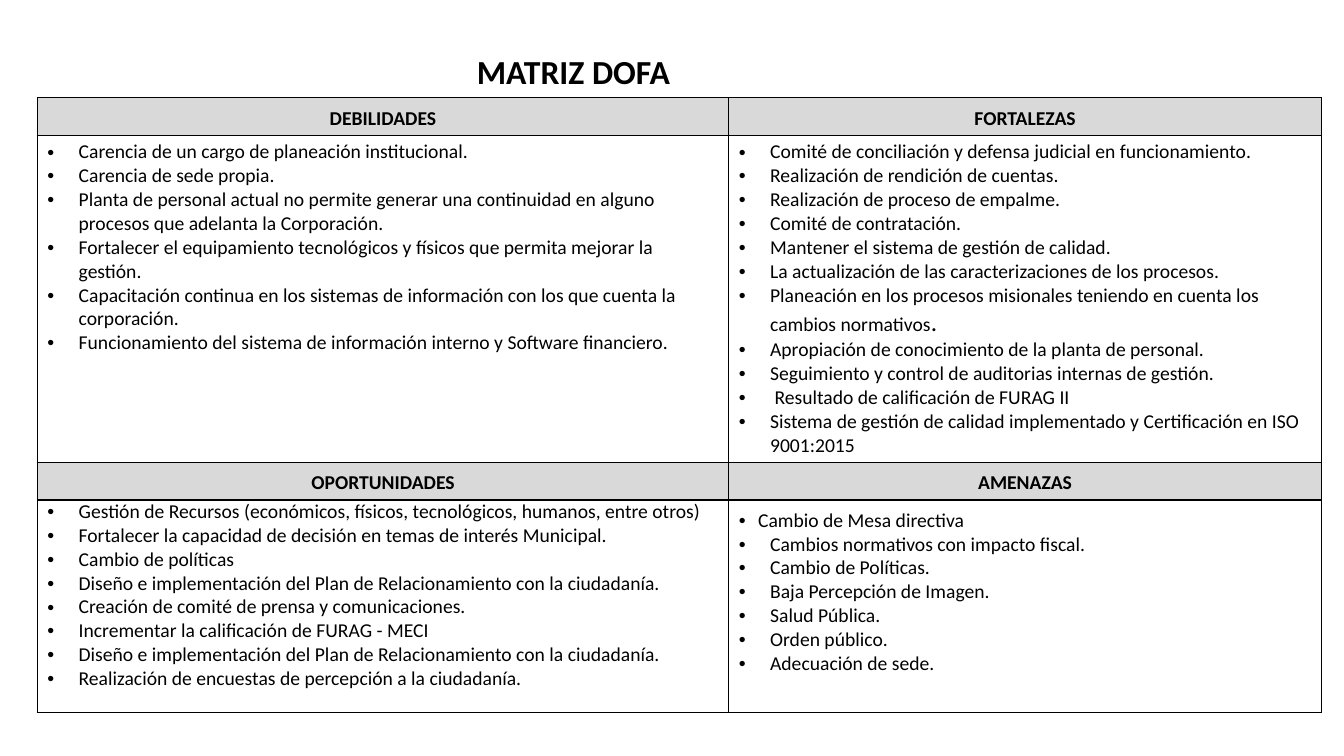
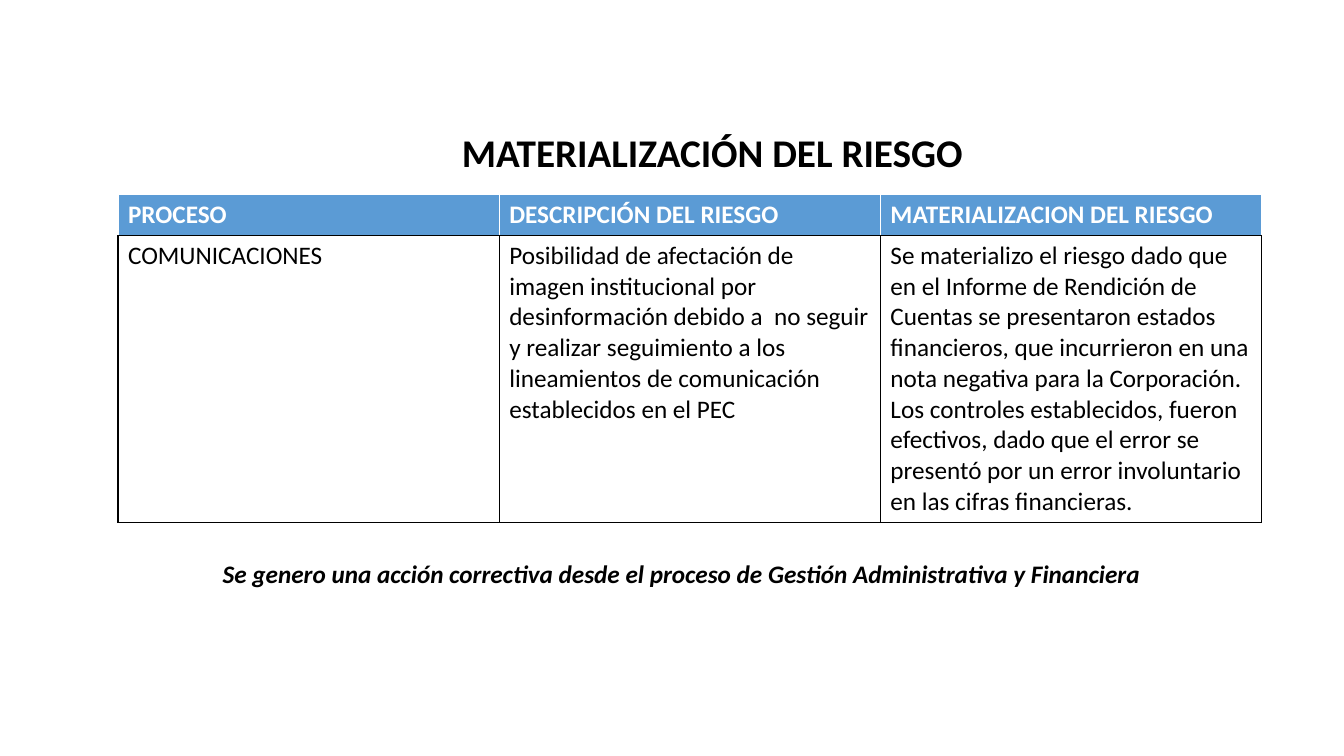
import pptx
import pptx.util
import pptx.dml.color
import pptx.enum.text
import pptx.oxml
import pptx.oxml.ns
import lxml.etree

Pt = pptx.util.Pt
Inches = pptx.util.Inches
ALIGN = pptx.enum.text.PP_ALIGN
WIDE, HIGH = Inches(40 / 3), Inches(7.5)
FONT = "Calibri"
HUES = {"ink": "000000", "paper": "FFFFFF", "band": "D9D9D9", "head": "5B9BD5"}

WEAK = [
    "Carencia de un cargo de planeación institucional.",
    "Carencia de sede propia.",
    "Planta de personal actual no permite generar una continuidad en alguno procesos que adelanta la Corporación.",
    "Fortalecer el equipamiento tecnológicos y físicos que permita mejorar la gestión.",
    "Capacitación continua en los sistemas de información con los que cuenta la corporación.",
    "Funcionamiento del sistema de información interno y Software financiero.",
]
STRONG = [
    "Comité de conciliación y defensa judicial en funcionamiento.",
    "Realización de rendición de cuentas.",
    "Realización de proceso de empalme.",
    "Comité de contratación.",
    "Mantener el sistema de gestión de calidad.",
    "La actualización de las caracterizaciones de los procesos.",
    "Planeación en los procesos misionales teniendo en cuenta los cambios normativos",
    "Apropiación de conocimiento de la planta de personal.",
    "Seguimiento y control de auditorias internas de gestión.",
    " Resultado de calificación de FURAG II",
    "Sistema de gestión de calidad implementado y Certificación en ISO 9001:2015",
]
CHANCE = [
    "Gestión de Recursos (económicos, físicos, tecnológicos, humanos, entre otros)",
    "Fortalecer la capacidad de decisión en temas de interés Municipal.",
    "Cambio de políticas",
    "Diseño e implementación del Plan de Relacionamiento con la ciudadanía.",
    "Creación de comité de prensa y comunicaciones.",
    "Incrementar la calificación de FURAG - MECI",
    "Diseño e implementación del Plan de Relacionamiento con la ciudadanía.",
    "Realización de encuestas de percepción a la ciudadanía.",
]
THREAT = [
    "Cambio de Mesa directiva",
    "Cambios normativos con impacto fiscal.",
    "Cambio de Políticas.",
    "Baja Percepción de Imagen.",
    "Salud Pública.",
    "Orden público.",
    "Adecuación de sede.",
]
RISK = [
    ["PROCESO", "DESCRIPCIÓN DEL RIESGO", "MATERIALIZACION DEL RIESGO"],
    [
        "COMUNICACIONES",
        "Posibilidad de afectación de imagen institucional por desinformación debido a  no seguir y realizar seguimiento a los lineamientos de comunicación establecidos en el PEC",
        "Se materializo el riesgo dado que en el Informe de Rendición de Cuentas se presentaron estados financieros, que incurrieron en una nota negativa para la Corporación. Los controles establecidos, fueron efectivos, dado que el error se presentó por un error involuntario en las cifras financieras.",
    ],
]
NOTE = "Se genero una acción correctiva desde el proceso de Gestión Administrativa y Financiera"


def rgb(hue):
    return pptx.dml.color.RGBColor.from_string(HUES[hue])


def area(left, top, wide, high):
    return [
        round(share * side / 100)
        for share, side in zip((left, top, wide, high), (WIDE, HIGH, WIDE, HIGH))
    ]


def style(para, size, bold=False, hue="ink", italic=False):
    font = para.font
    font.name, font.size = FONT, Pt(size)
    font.bold, font.italic = bold, italic
    font.color.rgb = rgb(hue)


def bullet(para, indent):
    props = para._p.get_or_add_pPr()
    props.set("marL", str(Inches(indent)))
    props.set("indent", str(-Inches(indent)))
    for tag, key, value in (("buFont", "typeface", "Arial"), ("buChar", "char", "•")):
        mark = lxml.etree.SubElement(props, pptx.oxml.ns.qn("a:" + tag))
        mark.set(key, value)


def title(slide, text, box, size, align):
    shape = slide.shapes.title
    shape.left, shape.top, shape.width, shape.height = area(*box)
    frame = shape.text_frame
    frame.text = text
    frame.auto_size = pptx.enum.text.MSO_AUTO_SIZE.NONE
    frame.vertical_anchor = pptx.enum.text.MSO_ANCHOR.TOP
    para = frame.paragraphs[0]
    para.alignment = align
    style(para, size, True)


def caption(slide, text, box):
    frame = slide.shapes.add_textbox(*area(*box)).text_frame
    frame.word_wrap = True
    frame.text = text
    style(frame.paragraphs[0], 18, True, italic=True)


def edge(cell, hues):
    props = cell._tc.get_or_add_tcPr()
    space = pptx.oxml.ns.nsdecls("a")
    for side, hue in zip("LRTB", hues):
        props.append(pptx.oxml.parse_xml(
            f'<a:ln{side} {space} w="{Pt(1)}"><a:solidFill>'
            f'<a:srgbClr val="{HUES[hue]}"/></a:solidFill></a:ln{side}>'
        ))


def paint(cell, fill, hues=("ink",) * 4):
    edge(cell, hues)
    cell.fill.solid()
    cell.fill.fore_color.rgb = rgb(fill)


def grid(slide, box, cols, rows):
    left, top, wide, high = area(*box)
    table = slide.shapes.add_table(len(rows), len(cols), left, top, wide, high).table
    table.first_row = table.horz_banding = False
    for col, part in zip(table.columns, cols):
        col.width = round(wide * part / sum(cols))
    for row, part in zip(table.rows, rows):
        row.height = round(high * part / sum(rows))
    return table


def heading(cell, text):
    paint(cell, "band")
    cell.text = text
    para = cell.text_frame.paragraphs[0]
    para.alignment = ALIGN.CENTER
    para.line_spacing = 1.15
    style(para, 14, True)


def listing(cell, items):
    paint(cell, "paper")
    cell.text = "\n".join(items)
    for para in cell.text_frame.paragraphs:
        bullet(para, 0.31)
        style(para, 14)


def matrix(slide, box):
    table = grid(slide, box, [7, 6], [6, 53, 6, 34.5])
    parts = [
        ("DEBILIDADES", WEAK), ("FORTALEZAS", STRONG),
        ("OPORTUNIDADES", CHANCE), ("AMENAZAS", THREAT),
    ]
    for spot, (name, items) in enumerate(parts):
        row, col = spot // 2 * 2, spot % 2
        heading(table.cell(row, col), name)
        listing(table.cell(row + 1, col), items)

    stop = table.cell(1, 1).text_frame.paragraphs[6].add_run()
    stop.text = "."
    stop.font.size = Pt(18)

    chance = table.cell(3, 0)
    chance.margin_top = chance.margin_bottom = 0

    first = table.cell(3, 1).text_frame.paragraphs[0]
    first.alignment = ALIGN.JUSTIFY
    first.line_spacing = 1.15
    props = first._p.get_or_add_pPr()
    props.set("marL", str(Inches(0.19)))
    props.set("indent", str(-Inches(0.19)))


def risks(slide, box):
    table = grid(slide, box, [1, 1, 1], [1, 7])
    looks = [
        ("head", ("paper", "paper", "paper", "ink"), True, "paper"),
        ("paper", ("ink",) * 4, False, "ink"),
    ]
    for row, (texts, (fill, hues, bold, hue)) in enumerate(zip(RISK, looks)):
        for col, text in enumerate(texts):
            cell = table.cell(row, col)
            paint(cell, fill, hues)
            cell.text = text
            style(cell.text_frame.paragraphs[0], 18, bold, hue)


def main():
    deck = pptx.Presentation()
    deck.slide_width, deck.slide_height = WIDE, HIGH
    plain = deck.slide_layouts[5]

    slide = deck.slides.add_slide(plain)
    matrix(slide, (2.78, 12.93, 95.55, 81.2))
    title(slide, "MATRIZ DOFA", (34.73, 6, 47.33, 6.67), 24, ALIGN.LEFT)

    slide = deck.slides.add_slide(plain)
    title(slide, "MATERIALIZACIÓN DEL RIESGO", (26.18, 16.27, 53.63, 7.6), 28, ALIGN.CENTER)
    risks(slide, (8.78, 25.73, 85.1, 42.7))
    caption(slide, NOTE, (15.83, 73.2, 71.1, 5.33))

    deck.save("out.pptx")


if __name__ == "__main__":
    main()
